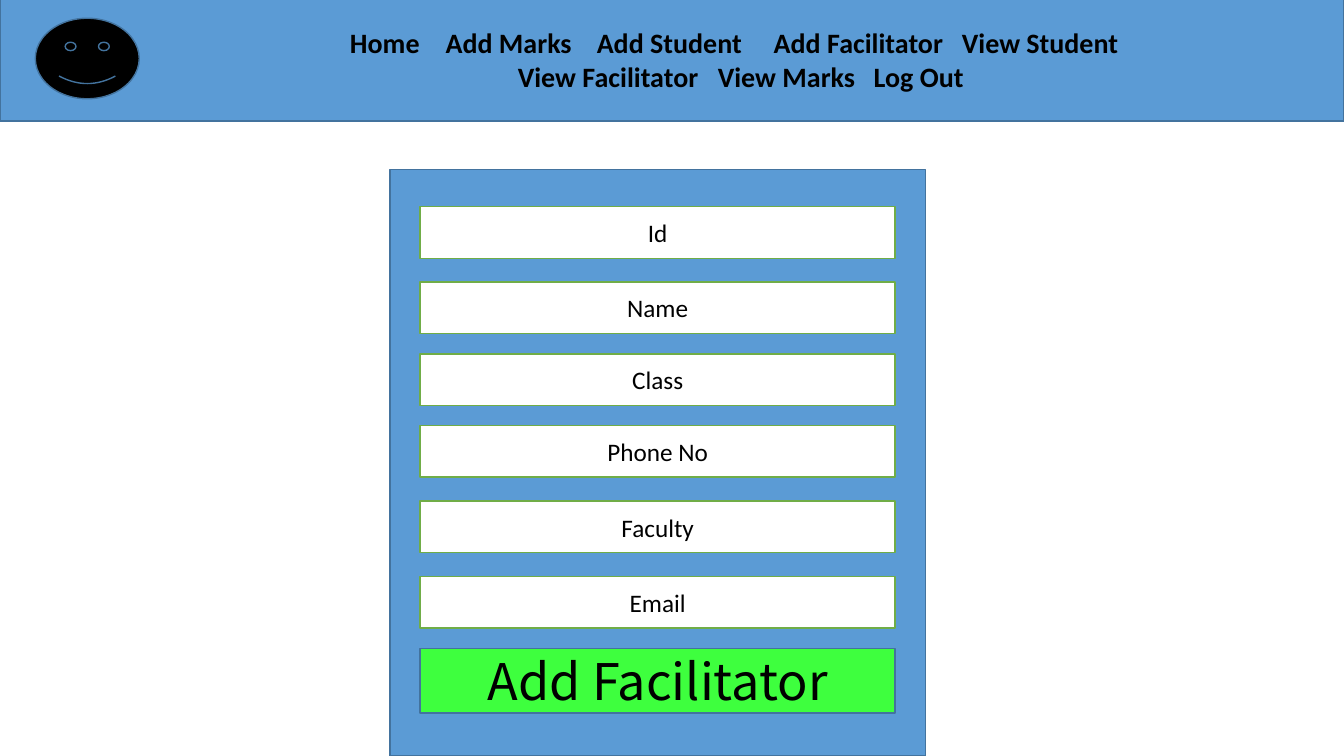
from lxml.etree import SubElement
from pptx import Presentation
from pptx.dml.color import RGBColor
from pptx.enum.shapes import MSO_SHAPE
from pptx.enum.text import MSO_ANCHOR, PP_ALIGN
from pptx.oxml.ns import qn
from pptx.util import Cm, Pt

BLUE, DARK_BLUE, GREEN = "5B9BD5", "43739E", "70AD47"
BLACK, WHITE, BUTTON_GREEN = "000000", "FFFFFF", "3EFF3E"

MENU = [
    [("Home", 3.87), ("Add Marks", 6.28), ("Add Student", 10.09),
     ("Add Facilitator", 14.55), ("View Student", 19.29)],
    [("View Facilitator", 8.1), ("View Marks", 13.14), ("Log Out", 17.07)],
]
FIELDS = [("Id", 0.94), ("Name", 2.84), ("Class", 4.65),
          ("Phone No", 6.45), ("Faculty", 8.36), ("Email", 10.26)]


def color(hex_string):
    """Turn a hex string into a colour."""
    return RGBColor.from_string(hex_string)


def add_run(paragraph, text, size, font="Calibri", bold=False):
    """Append one black run to a paragraph."""
    run = paragraph.add_run()
    run.text = text
    run.font.name = font
    run.font.size = Pt(size)
    run.font.bold = bold
    run.font.color.rgb = color(BLACK)


def add_box(slide, kind, box, fill, line):
    """Add a filled and outlined shape; box is left, top, width, height in cm."""
    shape = slide.shapes.add_shape(kind, *map(Cm, box))
    shape.shadow.inherit = False
    shape.fill.solid()
    shape.fill.fore_color.rgb = color(fill)
    shape.line.color.rgb = color(line)
    shape.line.width = Pt(1)
    return shape


def add_labelled_box(slide, box, fill, line, label, size, font="Calibri"):
    """Add a rectangle with a centred label."""
    shape = add_box(slide, MSO_SHAPE.RECTANGLE, box, fill, line)
    shape.text_frame.vertical_anchor = MSO_ANCHOR.MIDDLE
    paragraph = shape.text_frame.paragraphs[0]
    paragraph.alignment = PP_ALIGN.CENTER
    add_run(paragraph, label, size, font)


def set_tab_stops(paragraph, stops):
    """Give a paragraph left tab stops, in cm."""
    paragraph.alignment = PP_ALIGN.LEFT
    properties = paragraph._p.get_or_add_pPr()
    tab_list = SubElement(properties, qn("a:tabLst"))
    for stop in stops:
        SubElement(tab_list, qn("a:tab"), pos=str(Cm(stop)), algn="l")


def add_header(slide, box):
    """Draw the bar with the smiley and the two menu lines."""
    left, top, width, height = box
    add_box(slide, MSO_SHAPE.RECTANGLE, box, BLUE, DARK_BLUE)
    add_box(slide, MSO_SHAPE.SMILEY_FACE,
            (left + 0.89, top + 0.56, 2.62, 2.03), BLACK, DARK_BLUE)
    menu_box = (left + 4.7, top + 0.63, 28.12, 1.96)
    text_frame = slide.shapes.add_textbox(*map(Cm, menu_box)).text_frame
    text_frame.word_wrap = True
    for index, entries in enumerate(MENU):
        paragraph = text_frame.add_paragraph() if index else text_frame.paragraphs[0]
        set_tab_stops(paragraph, [stop for _, stop in entries])
        for label, _ in entries:
            add_run(paragraph, "\t" + label, 20, bold=True)


def add_form(slide, box):
    """Draw the panel with its input fields and the submit button."""
    left, top, width, height = box
    margin = 0.76
    inner_left, inner_width = left + margin, width - 2 * margin
    add_box(slide, MSO_SHAPE.RECTANGLE, box, BLUE, DARK_BLUE)
    for label, offset in FIELDS:
        add_labelled_box(slide, (inner_left, top + offset, inner_width, 1.3),
                         WHITE, GREEN, label, 18)
    add_labelled_box(slide, (inner_left, top + 12.07, inner_width, 1.63),
                     BUTTON_GREEN, DARK_BLUE, "Add Facilitator", 36,
                     "Noto Sans CJK JP")


def main():
    """Build and save the facilitator form slide."""
    presentation = Presentation()
    presentation.slide_width, presentation.slide_height = Cm(33.87), Cm(19.05)
    slide = presentation.slides.add_slide(presentation.slide_layouts[6])
    add_header(slide, (0, -0.1, 33.87, 3.15))
    add_form(slide, (9.83, 4.27, 13.49, 14.78))
    presentation.save("out.pptx")


main()
